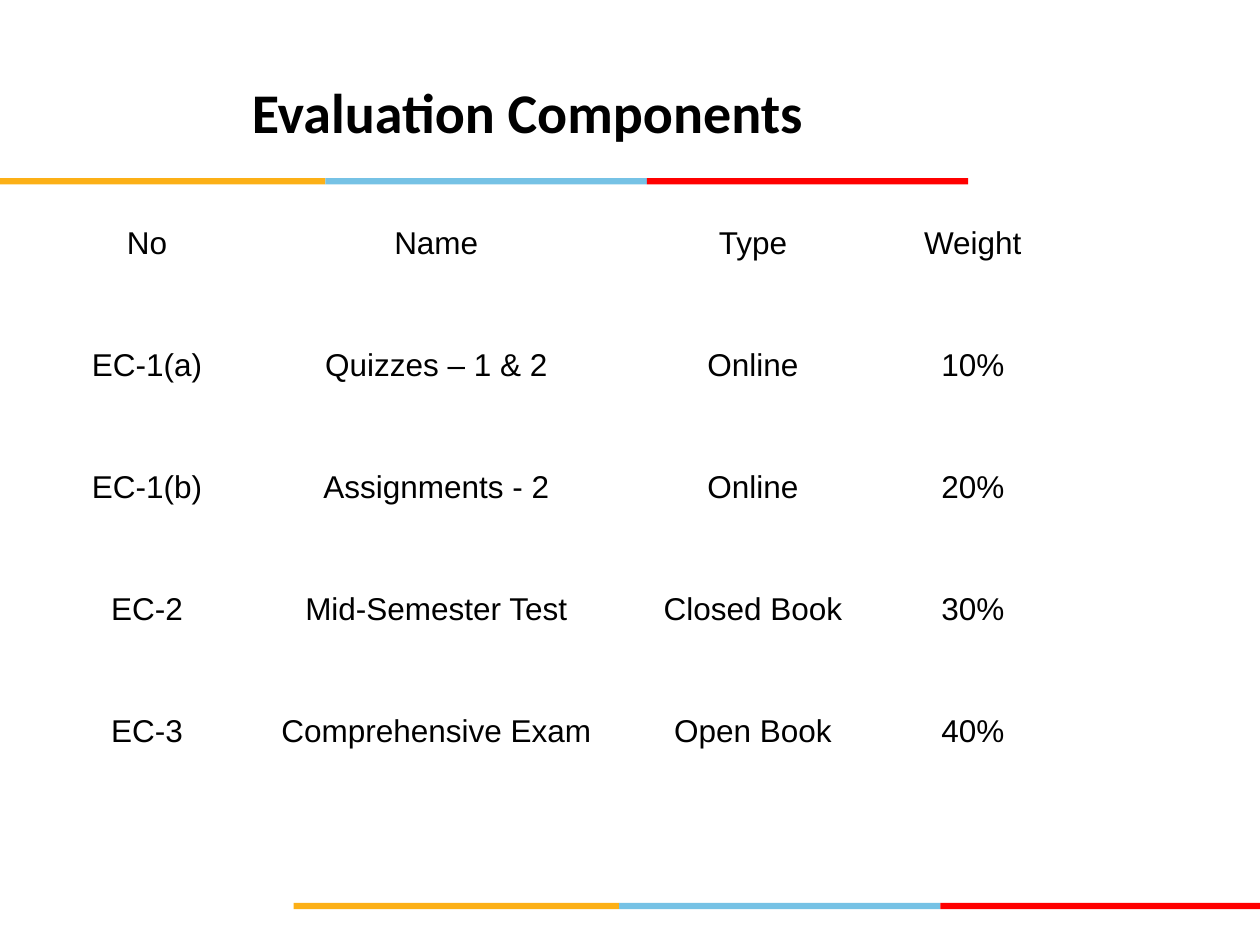
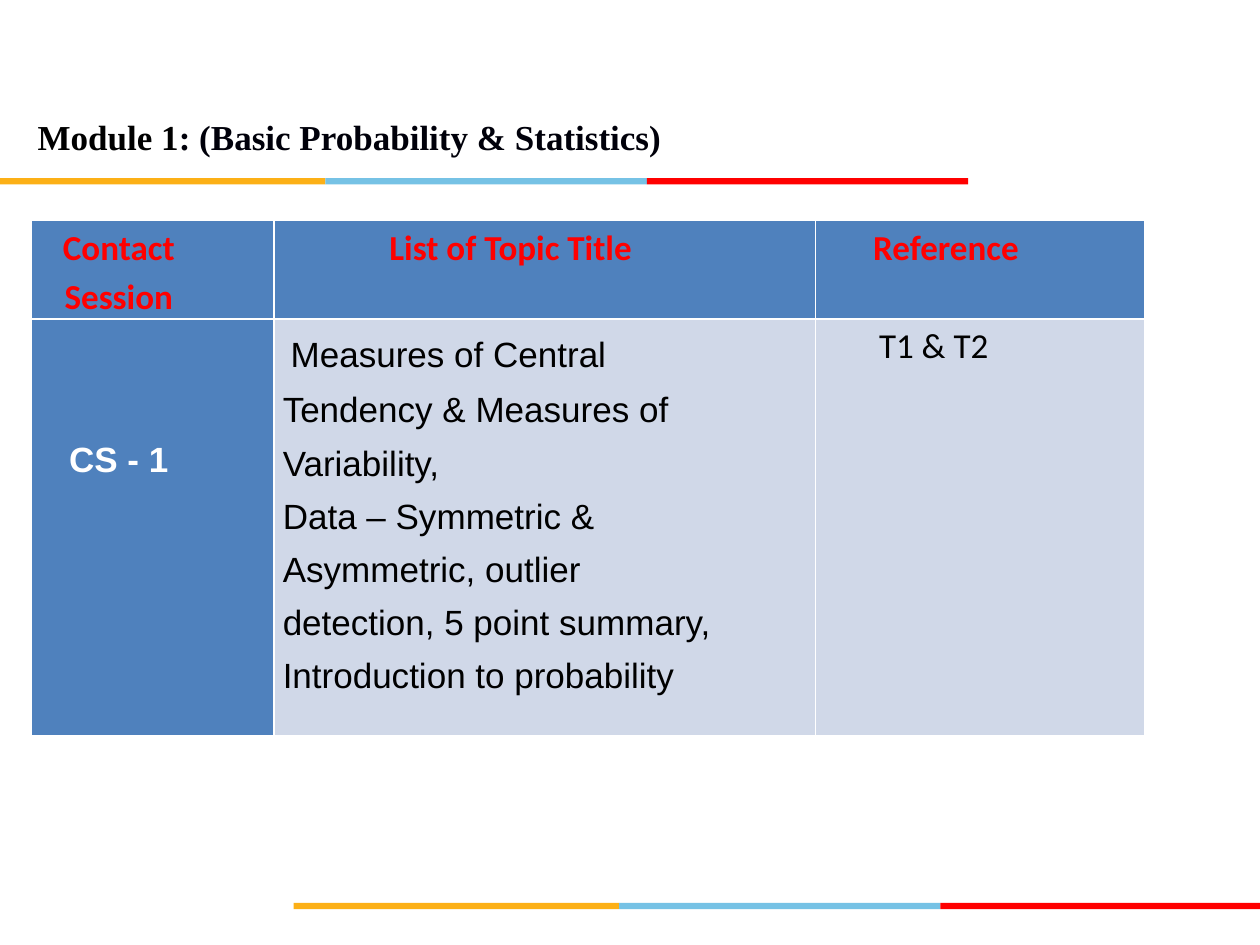
from dataclasses import dataclass

from pptx import Presentation
from pptx.dml.color import RGBColor as Rgb
from pptx.enum.shapes import MSO_SHAPE as Shape
from pptx.enum.text import MSO_ANCHOR as Anchor, PP_ALIGN as Align
from pptx.util import Cm, Pt


@dataclass(frozen=True)
class Theme:
    gold: str = "FCB017"
    sky: str = "76C2E5"
    red: str = "FF0000"
    black: str = "000000"
    ink: str = "00000A"
    white: str = "FFFFFF"
    blue: str = "4F81BD"
    pale: str = "D0D8E8"
    sans: str = "Arial"
    head: str = "Calibri"
    serif: str = "Times New Roman"
    big: int = 32
    mid: int = 20
    small: int = 18


def assign(target, values):
    for name, value in values.items():
        setattr(target, name, value)


def margins(left, top, right, bottom):
    return {"margin_left": Cm(left), "margin_top": Cm(top),
            "margin_right": Cm(right), "margin_bottom": Cm(bottom)}


class Deck:
    def __init__(self, theme):
        self.theme = theme
        self.prs = Presentation()
        assign(self.prs, {"slide_width": Cm(25.4), "slide_height": Cm(19.05)})
        self.slide = None

    def start(self):
        """Add a blank slide with the shared bands."""
        self.slide = self.prs.slides.add_slide(self.prs.slide_layouts[6])
        self.band(0, 3.59)
        self.band(5.92, 18.2)

    def band(self, left, top):
        t = self.theme
        for width, color in ((6.56, t.gold), (6.48, t.sky), (6.48, t.red)):
            bar = self.slide.shapes.add_shape(
                Shape.RECTANGLE, Cm(left), Cm(top), Cm(width), Cm(0.13))
            bar.shadow.inherit = False
            bar.fill.solid()
            bar.fill.fore_color.rgb = Rgb.from_string(color)
            bar.line.fill.background()
            left += width

    def text(self, frame, paras, para, size, font, color, bold=False):
        """Fill a frame; each paragraph is a list of (words, overrides)."""
        for i, runs in enumerate(paras):
            p = frame.paragraphs[0] if i == 0 else frame.add_paragraph()
            assign(p, para)
            for words, over in runs:
                run = p.add_run()
                run.text = words
                look = {"name": font, "color": color} | over
                run.font.color.rgb = Rgb.from_string(look.pop("color"))
                assign(run.font, {"size": Pt(size), "bold": bold} | look)

    def title(self, box, runs, frame, para, **look):
        body = self.slide.shapes.add_textbox(*map(Cm, box)).text_frame
        assign(body, {"word_wrap": True} | frame)
        self.text(body, [runs], {"alignment": Align.CENTER} | para,
                  color=self.theme.black, bold=True, **look)

    def table(self, left, top, cols, rows):
        grid = self.slide.shapes.add_table(
            len(rows), len(cols), Cm(left), Cm(top),
            Cm(sum(cols)), Cm(sum(rows))).table
        for col, width in zip(grid.columns, cols):
            col.width = Cm(width)
        for row, height in zip(grid.rows, rows):
            row.height = Cm(height)
        return grid

    def cell(self, cell, paras, pad, para, fill=None, **look):
        assign(cell, margins(*pad))
        if fill:
            cell.fill.solid()
            cell.fill.fore_color.rgb = Rgb.from_string(fill)
        else:
            cell.fill.background()
        self.text(cell.text_frame, paras, para, **look)


def weights(deck):
    t = deck.theme
    deck.start()
    deck.title((2.34, 1.07, 16.84, 2.36), [("Evaluation Components", {})],
               margins(0, 0, 0.25, 0) | {"vertical_anchor": Anchor.MIDDLE},
               {}, size=t.big, font=t.head)
    data = (
        ("No", "Name", "Type", "Weight"),
        ("EC-1(a)", "Quizzes – 1 & 2", "Online", "10%"),
        ("EC-1(b)", "Assignments - 2", "Online", "20%"),
        ("EC-2", "Mid-Semester Test", "Closed Book", "30%"),
        ("EC-3", "Comprehensive Exam", "Open Book", "40%"),
    )
    para = {"alignment": Align.CENTER,
            "space_before": Pt(7.2), "space_after": Pt(7.2)}
    grid = deck.table(1.07, 4.45, (3.84, 7.82, 4.95, 3.91), [2.46] * len(data))
    for r, row in enumerate(data):
        for c, words in enumerate(row):
            deck.cell(grid.cell(r, c), [[(words, {})]], (0.05, 0.1, 0.1, 0.1),
                      para, size=t.small, font=t.sans, color=t.black)


def module(deck):
    t = deck.theme
    deck.start()
    deck.title((0.43, 1.9, 14.6, 1.3),
               [("Module 1", {}),
                (": (Basic Probability & Statistics)", {"color": t.ink})],
               margins(0.15, 0.13, 1.52, 0.13), {"line_spacing": 1.36},
               size=t.mid, font=t.serif)
    grid = deck.table(0.64, 4.45, (4.88, 10.92, 6.63), (1.98, 8.41))
    pad = (0.18, 0, 1.55, 0)
    para = {"line_spacing": 1.15, "space_after": Pt(10)}
    mid = para | {"alignment": Align.CENTER}
    for c, words in enumerate(
            ("Contact Session", "List of Topic Title", "Reference")):
        deck.cell(grid.cell(0, c), [[(words, {})]], pad, mid, t.blue,
                  size=t.mid, font=t.head, color=t.red, bold=True)
    topics = [
        [(" ", {"name": t.head}),
         ("Measures of Central Tendency & Measures of Variability,", {})],
        [("Data – Symmetric & Asymmetric, outlier detection, "
          "5 point summary, Introduction to probability", {})],
    ]
    deck.cell(grid.cell(1, 0), [[("CS - 1", {})]], (0.18, 2.34, 1.55, 0),
              mid, t.blue, size=t.mid, font=t.sans, color=t.white, bold=True)
    deck.cell(grid.cell(1, 1), topics, pad, {"line_spacing": 1.36}, t.pale,
              size=t.mid, font=t.sans, color=t.black)
    deck.cell(grid.cell(1, 2), [[("T1 & T2", {})]], (1.28, 0, 0.18, 0),
              para, t.pale, size=t.mid, font=t.head, color=t.black)


def main():
    deck = Deck(Theme())
    weights(deck)
    module(deck)
    deck.prs.save("out.pptx")


if __name__ == "__main__":
    main()
